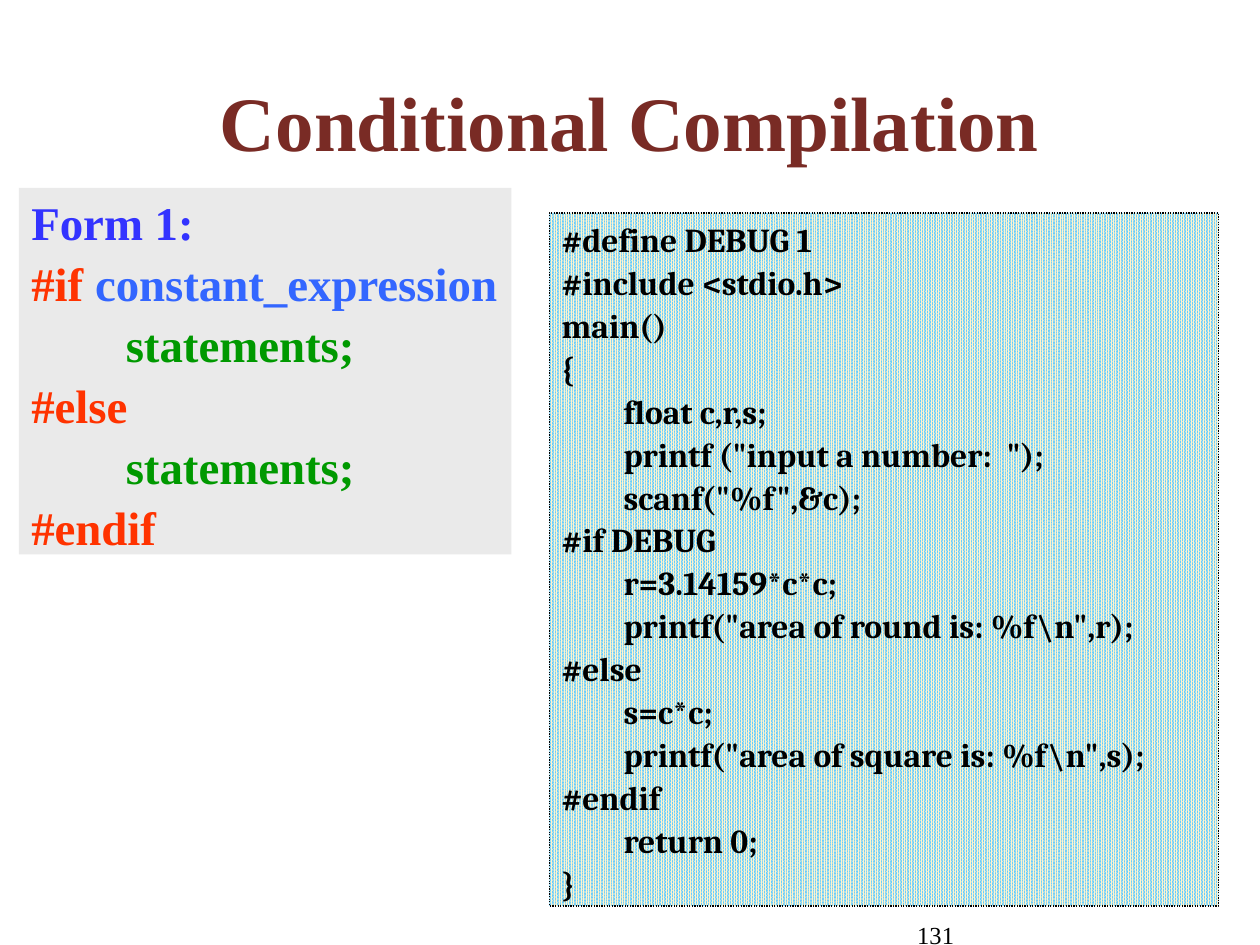
"""Build the slide on conditional compilation."""
import pptx
import pptx.dml.color
import pptx.enum.dml
import pptx.enum.shapes
import pptx.enum.text
import pptx.util

SCALE = 9144
SERIF = "Times New Roman"
ALIGN = pptx.enum.text.PP_ALIGN
ANCHOR = pptx.enum.text.MSO_ANCHOR

BLACK = "000000"
DIRECTIVE = "FF3300"
STATEMENT = "009900"

FORM_LINES = [
    (0, [("Form 1:", "3333FF")]),
    (0, [("#if ", DIRECTIVE), ("constant_expression", "3366FF")]),
    (1, [("statements;", STATEMENT)]),
    (0, [("#else", DIRECTIVE)]),
    (1, [("statements;", STATEMENT)]),
    (0, [("#endif", DIRECTIVE)]),
]

CODE_LINES = [
    (0, "#define DEBUG 1"),
    (0, "#include <stdio.h>"),
    (0, "main()"),
    (0, "{"),
    (1, "float c,r,s;"),
    (1, 'printf ("input a number:  ");'),
    (1, 'scanf("%f",&c);'),
    (0, "#if DEBUG"),
    (1, "r=3.14159*c*c;"),
    (1, 'printf("area of round is: %f\\n",r);'),
    (0, "#else"),
    (1, "s=c*c;"),
    (1, 'printf("area of square is: %f\\n",s);'),
    (0, "#endif"),
    (1, "return 0;"),
    (0, "}"),
]


def px(length):
    """Turn a length in px into EMU."""
    return pptx.util.Emu(length * SCALE)


def color(value):
    """Turn a hex string into a colour."""
    return pptx.dml.color.RGBColor.from_string(value)


def add_span(para, text, font, size, ink, bold=True):
    """Add one formatted run to a paragraph."""
    span = para.add_run()
    span.text = text
    span.font.name = font
    span.font.size = pptx.util.Pt(size)
    span.font.bold = bold
    span.font.color.rgb = color(ink)


def add_panel(slide, box):
    """Add a plain rectangle without shadow or outline."""
    panel = slide.shapes.add_shape(
        pptx.enum.shapes.MSO_SHAPE.RECTANGLE, *map(px, box))
    panel.shadow.inherit = False
    panel.line.fill.background()
    return panel


def fill_lines(panel, lines, font, size, gap, indent):
    """Write lines of (level, runs) into a panel, indented by level."""
    frame = panel.text_frame
    frame.word_wrap = True
    frame.vertical_anchor = ANCHOR.TOP
    for index, (level, runs) in enumerate(lines):
        para = frame.add_paragraph() if index else frame.paragraphs[0]
        para.alignment = ALIGN.LEFT
        para.space_before = pptx.util.Pt(gap)
        if level:
            para._p.get_or_add_pPr().set("marL", str(px(level * indent)))
        for text, ink in runs:
            add_span(para, text, font, size, ink)


def place_title(slide, box):
    """Place and format the slide title."""
    title = slide.shapes.title
    title.left, title.top, title.width, title.height = map(px, box)
    title.text_frame.vertical_anchor = ANCHOR.MIDDLE
    para = title.text_frame.paragraphs[0]
    para.alignment = ALIGN.CENTER
    add_span(para, "Conditional Compilation", SERIF, 44, "792B25")


def add_form(slide, box):
    """Add the grey panel with the syntax form."""
    panel = add_panel(slide, box)
    panel.fill.solid()
    panel.fill.fore_color.rgb = color("EAEAEA")
    fill_lines(panel, FORM_LINES, SERIF, 26.8, 2.7, 75)


def add_code(slide, box):
    """Add the patterned panel with the sample program."""
    panel = add_panel(slide, box)
    panel.fill.patterned()
    panel.fill.pattern = pptx.enum.dml.MSO_PATTERN.PERCENT_90
    panel.fill.fore_color.rgb = color("FEF4CE")
    panel.fill.back_color.rgb = color("66CCFF")
    panel.line.color.rgb = color(BLACK)
    panel.line.width = pptx.util.Pt(0.75)
    panel.line.dash_style = pptx.enum.dml.MSO_LINE.ROUND_DOT
    lines = [(level, [(text, BLACK)]) for level, text in CODE_LINES]
    fill_lines(panel, lines, "Cambria", 19.1, 1.6, 49)


def add_page_number(slide, box):
    """Add the page number, set to the right of its box."""
    frame = slide.shapes.add_textbox(*map(px, box)).text_frame
    frame.word_wrap = True
    para = frame.paragraphs[0]
    para.alignment = ALIGN.RIGHT
    add_span(para, "131", SERIF, 14, BLACK, bold=False)


def main():
    """Build and save the deck."""
    deck = pptx.Presentation()
    deck.slide_width, deck.slide_height = px(1000), px(750)
    slide = deck.slides.add_slide(deck.slide_layouts[5])
    add_page_number(slide, (675, 725, 92, 25))
    place_title(slide, (50, 42, 900, 108))
    add_code(slide, (436, 169, 531, 550))
    add_form(slide, (15, 149, 391, 291))
    deck.save("out.pptx")


if __name__ == "__main__":
    main()
